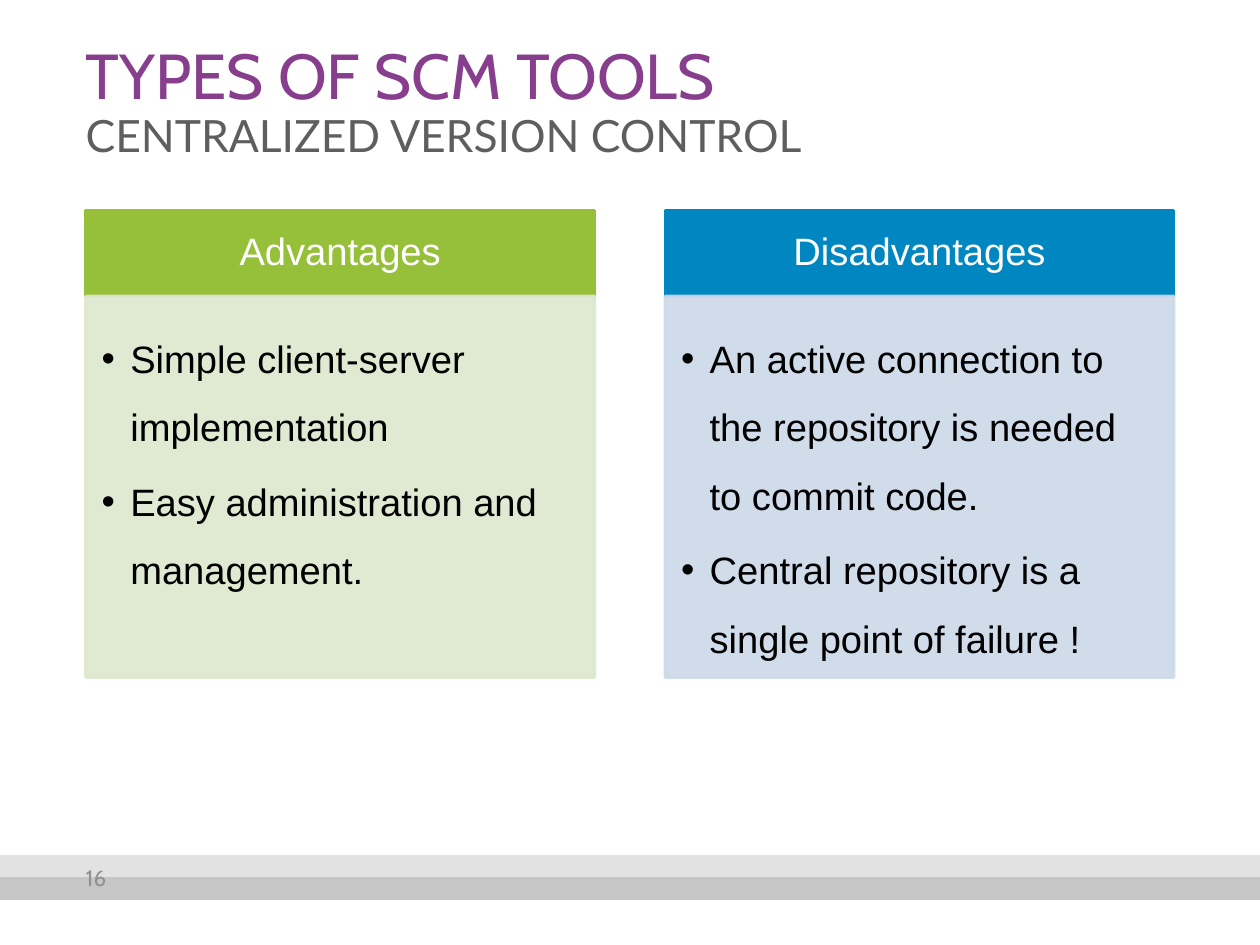
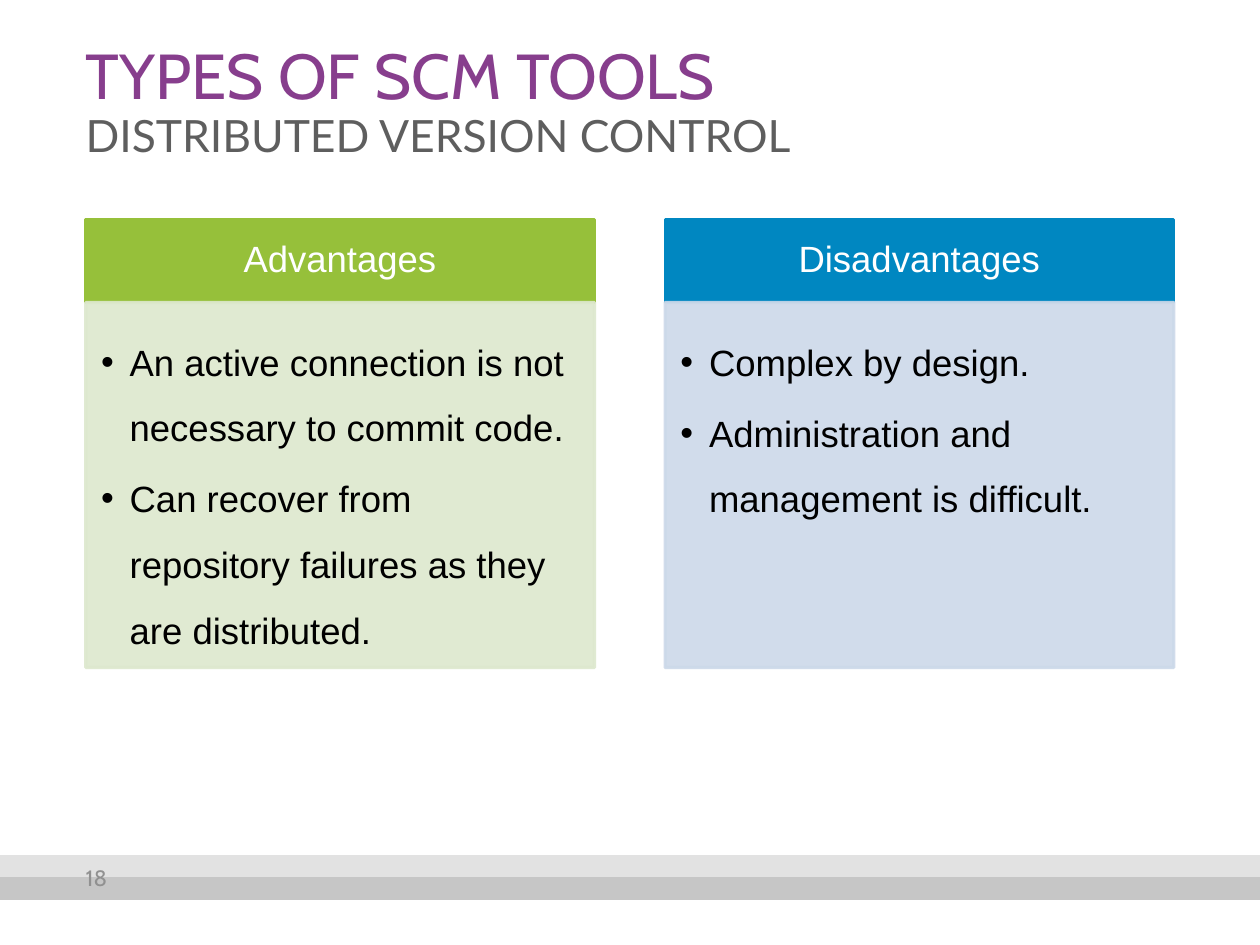
from dataclasses import dataclass

from lxml import etree
from pptx import Presentation
from pptx.dml.color import RGBColor
from pptx.enum.shapes import MSO_SHAPE
from pptx.enum.text import MSO_ANCHOR, MSO_AUTO_SIZE, PP_ALIGN
from pptx.oxml.ns import qn
from pptx.shapes.autoshape import Shape
from pptx.slide import Slide, SlideLayout
from pptx.text.text import TextFrame
from pptx.util import Pt

RECTANGLE = MSO_SHAPE.RECTANGLE
TOP, MIDDLE = MSO_ANCHOR.TOP, MSO_ANCHOR.MIDDLE
LEFT, CENTER = PP_ALIGN.LEFT, PP_ALIGN.CENTER
NO_AUTOFIT = MSO_AUTO_SIZE.NONE

SLIDE_WIDTH, SLIDE_HEIGHT = 793.75, 595.25
MARGIN, CONTENT_WIDTH, COLUMN_GAP = 54, 685.5, 44.5
COLUMN_WIDTH = (CONTENT_WIDTH - COLUMN_GAP) / 2
COLUMNS_MIDDLE = 279.5
HEADING_RATIO, LIST_RATIO = 2.26, 10
BULLET_INDENT = 18
BAND_TOP, BAND_HEIGHT = 538.5, 28.3
COMPARISON_LAYOUT = 4
SUBTITLE_INDEX, UNUSED_INDEX = 1, 3
LIST_INDEXES = (2, 4)

PURPLE, DARK_GREY, GREY = "873E8D", "5E5E5E", "919191"
BAND_LIGHT, BAND_DARK = "E2E2E2", "C6C6C6"
WHITE, BLACK = "FFFFFF", "000000"


@dataclass(frozen=True)
class Side:
    heading: str
    strong: str
    pale: str


@dataclass(frozen=True)
class Comparison:
    subtitle: str
    number: str
    size: int
    points: tuple[tuple[str, ...], tuple[str, ...]]


TITLE = "TYPES OF SCM TOOLS"
SIDES = (
    Side("Advantages", "96C03A", "DDE8CE"),
    Side("Disadvantages", "0087C1", "CCD9E9"),
)
COMPARISONS = (
    Comparison("CENTRALIZED VERSION CONTROL", "16", 24, (
        ("Simple client-server implementation",
         "Easy administration and management."),
        ("An active connection to the repository is needed to commit code.",
         "Central repository is a single point of failure !"),
    )),
    Comparison("DISTRIBUTED VERSION CONTROL", "18", 23, (
        ("An active connection is not necessary to commit code.",
         "Can recover from repository failures as they are distributed."),
        ("Complex by design.",
         "Administration and management is difficult."),
    )),
)


def rgb(value: str) -> RGBColor:
    return RGBColor.from_string(value)


def place(shape: Shape, left: float, top: float, width: float, height: float) -> None:
    shape.left, shape.top = Pt(left), Pt(top)
    shape.width, shape.height = Pt(width), Pt(height)


def paint(shape: Shape, color: str, opacity: int = 100) -> None:
    shape.fill.solid()
    shape.fill.fore_color.rgb = rgb(color)
    shape.line.color.rgb = rgb(color)
    shape.line.width = Pt(2)
    if opacity < 100:
        for tint in shape.element.spPr.iter(qn("a:srgbClr")):
            etree.SubElement(tint, qn("a:alpha")).set("val", str(opacity * 1000))


def set_frame(frame: TextFrame, anchor: MSO_ANCHOR, left: float = 0, top: float = 0,
              right: float = 0, bottom: float = 0) -> None:
    frame.word_wrap = True
    frame.auto_size = NO_AUTOFIT
    frame.vertical_anchor = anchor
    frame.margin_left, frame.margin_top = Pt(left), Pt(top)
    frame.margin_right, frame.margin_bottom = Pt(right), Pt(bottom)


def write(frame: TextFrame, lines: tuple[str, ...], font: str, size: float, color: str,
          align: PP_ALIGN = LEFT, spacing: float = 1, after: float = 0) -> None:
    frame.text = "\n".join(lines)
    for paragraph in frame.paragraphs:
        paragraph.alignment = align
        paragraph.line_spacing = spacing
        paragraph.space_before = Pt(0)
        paragraph.space_after = Pt(after)
        paragraph.font.name = font
        paragraph.font.size = Pt(size)
        paragraph.font.bold = False
        paragraph.font.color.rgb = rgb(color)


def add_bullets(frame: TextFrame) -> None:
    for paragraph in frame.paragraphs:
        properties = paragraph._p.get_or_add_pPr()
        properties.set("marL", str(Pt(BULLET_INDENT)))
        properties.set("indent", str(-Pt(BULLET_INDENT)))
        bullet = etree.Element(qn("a:buChar"), char="•")
        properties.find(qn("a:defRPr")).addprevious(bullet)


def move_band_to_layout(slide: Slide, layout: SlideLayout) -> None:
    band = slide.shapes.add_shape(RECTANGLE, Pt(0), Pt(BAND_TOP),
                                  Pt(SLIDE_WIDTH), Pt(BAND_HEIGHT))
    band.shadow.inherit = False
    band.line.fill.background()
    band.fill.gradient()
    band.fill.gradient_angle = 270
    for stop, position, color in zip(band.fill.gradient_stops, (0.49, 0.5),
                                     (BAND_LIGHT, BAND_DARK)):
        stop.position = position
        stop.color.rgb = rgb(color)
    band.element.nvSpPr.cNvPr.set("id", "100")
    layout.shapes.element.append(band.element)


def add_titles(slide: Slide, subtitle: str) -> None:
    for shape, text, top, height, font, size, color in (
        (slide.shapes.title, TITLE, 22.5, 42.5, "Cabin", 40, PURPLE),
        (slide.placeholders[SUBTITLE_INDEX], subtitle, 68, 34, "Lato", 28, DARK_GREY),
    ):
        place(shape, MARGIN, top, CONTENT_WIDTH, height)
        set_frame(shape.text_frame, TOP)
        write(shape.text_frame, (text,), font, size, color)


def add_number(slide: Slide, number: str) -> None:
    box = slide.shapes.add_textbox(Pt(MARGIN), Pt(541.5), Pt(28), Pt(22.5))
    set_frame(box.text_frame, MIDDLE)
    write(box.text_frame, (number,), "Cabin", 14, GREY)


def add_column(slide: Slide, column: int, side: Side, points: tuple[str, ...],
               size: int) -> None:
    left = MARGIN + column * (COLUMN_WIDTH + COLUMN_GAP)
    heading_height, list_height = HEADING_RATIO * size, LIST_RATIO * size
    top = COLUMNS_MIDDLE - (heading_height + list_height) / 2

    heading = slide.shapes.add_shape(RECTANGLE, Pt(left), Pt(top),
                                     Pt(COLUMN_WIDTH), Pt(heading_height))
    heading.shadow.inherit = False
    paint(heading, side.strong)
    set_frame(heading.text_frame, MIDDLE, 0.57 * size, 0.33 * size,
              0.57 * size, 0.33 * size)
    write(heading.text_frame, (side.heading,), "Arial", size, WHITE, CENTER, 0.9)

    listing = slide.placeholders[LIST_INDEXES[column]]
    slide.shapes.element.append(listing.element)
    place(listing, left, top + heading_height, COLUMN_WIDTH, list_height)
    paint(listing, side.pale, 90)
    set_frame(listing.text_frame, TOP, 0.42 * size, 0.42 * size,
              0.57 * size, 0.63 * size)
    write(listing.text_frame, points, "Arial", size, BLACK,
          spacing=1.5, after=0.15 * size)
    add_bullets(listing.text_frame)


def add_comparison(slide: Slide, comparison: Comparison) -> None:
    unused = slide.placeholders[UNUSED_INDEX].element
    unused.getparent().remove(unused)
    add_titles(slide, comparison.subtitle)
    add_number(slide, comparison.number)
    for column, (side, points) in enumerate(zip(SIDES, comparison.points)):
        add_column(slide, column, side, points, comparison.size)


def main() -> None:
    deck = Presentation()
    deck.slide_width, deck.slide_height = Pt(SLIDE_WIDTH), Pt(SLIDE_HEIGHT)
    layout = deck.slide_layouts[COMPARISON_LAYOUT]
    slides = [deck.slides.add_slide(layout) for _ in COMPARISONS]
    move_band_to_layout(slides[0], layout)
    for slide, comparison in zip(slides, COMPARISONS):
        add_comparison(slide, comparison)
    deck.save("out.pptx")


if __name__ == "__main__":
    main()
